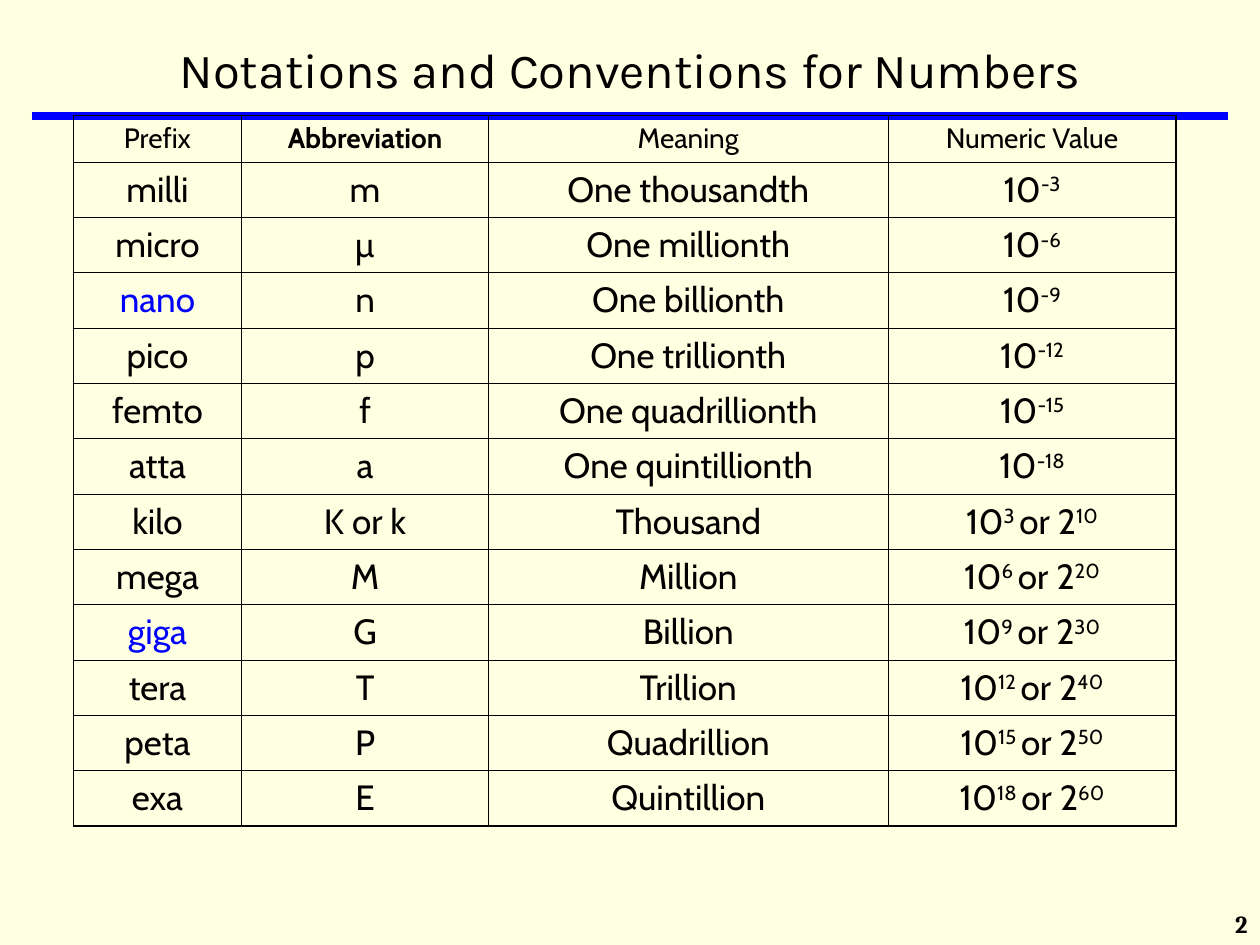
import pptx
import pptx.dml.color
import pptx.enum.shapes
import pptx.enum.text
import pptx.oxml
import pptx.oxml.ns
import pptx.util
from pptx.util import Cm

# Content: "|" separates normal text from superscript, alternately
TITLE = "Notations and Conventions for Numbers"
PAGE_NUMBER = "2"
HEADER = ("Prefix", "Abbreviation", "Meaning", "Numeric Value")
PREFIXES = [
    ("milli", "m", "One thousandth", "10|-3"),
    ("micro", "µ", "One millionth", "10|-6"),
    ("nano", "n", "One billionth", "10|-9"),
    ("pico", "p", "One trillionth", "10|-12"),
    ("femto", "f", "One quadrillionth", "10|-15"),
    ("atta", "a", "One quintillionth", "10|-18"),
    ("kilo", "K or k", "Thousand", "10|3 |or 2|10"),
    ("mega", "M", "Million", "10|6 |or 2|20"),
    ("giga", "G", "Billion", "10|9 |or 2|30"),
    ("tera", "T", "Trillion", "10|12 |or 2|40"),
    ("peta", "P", "Quadrillion", "10|15 |or 2|50"),
    ("exa", "E", "Quintillion", "10|18 |or 2|60"),
]
HIGHLIGHTED = {"nano", "giga"}

# Style
BLACK, BLUE, CREAM = "000000", "0000FF", "FFFFE1"
COLUMN_WIDTHS = (3.39, 4.98, 8.05, 5.81)
HEADER_HEIGHT, ROW_HEIGHT = 0.93, 1.11
INNER_BORDER, OUTER_BORDER = 0.45, 1.08
RULE_TOP = 2.33
ALIGN = pptx.enum.text.PP_ALIGN
MIDDLE = pptx.enum.text.MSO_ANCHOR.MIDDLE


def color(hex_string):
    return pptx.dml.color.RGBColor.from_string(hex_string)


def format_paragraph(paragraph, font_name, size, hex_string=BLACK, bold=False, align=ALIGN.CENTER):
    paragraph.alignment = align
    font = paragraph.font
    font.name, font.size, font.bold = font_name, pptx.util.Pt(size), bold
    font.color.rgb = color(hex_string)


def add_border(cell, side, points):
    line = pptx.oxml.parse_xml(
        f'<a:ln{side} {pptx.oxml.ns.nsdecls("a")} w="{round(points * 12700)}">'
        f'<a:solidFill><a:srgbClr val="{BLACK}"/></a:solidFill></a:ln{side}>')
    cell._tc.get_or_add_tcPr().append(line)


def fill_cell(cell, text, is_header):
    cell.vertical_anchor = MIDDLE
    paragraph = cell.text_frame.paragraphs[0]
    for index, part in enumerate(text.split("|")):
        run = paragraph.add_run()
        run.text = part
        if index % 2:
            run._r.get_or_add_rPr().set("baseline", "30000")
    format_paragraph(paragraph, "Cabin", 16 if is_header else 20,
                     BLUE if text in HIGHLIGHTED else BLACK,
                     bold=text == "Abbreviation")


presentation = pptx.Presentation()
presentation.slide_width, presentation.slide_height = Cm(25.4), Cm(19.05)
slide = presentation.slides.add_slide(presentation.slide_layouts[5])
slide.background.fill.solid()
slide.background.fill.fore_color.rgb = color(CREAM)

# Title
title = slide.shapes.title
title.left, title.top, title.width, title.height = Cm(0.85), Cm(0.64), Cm(23.7), Cm(1.48)
title.text_frame.text = TITLE
title.text_frame.vertical_anchor = MIDDLE
format_paragraph(title.text_frame.paragraphs[0], "Karla", 28)

# Rule under the title
rule = slide.shapes.add_connector(
    pptx.enum.shapes.MSO_CONNECTOR.STRAIGHT, Cm(0.64), Cm(RULE_TOP), Cm(24.76), Cm(RULE_TOP))
rule.line.color.rgb = color(BLUE)
rule.line.width = pptx.util.Pt(4.5)
rule._element.spPr.append(
    pptx.oxml.parse_xml(f'<a:effectLst {pptx.oxml.ns.nsdecls("a")}/>'))

# Table of prefixes
rows = [HEADER] + PREFIXES
last_row, last_column = len(rows) - 1, len(HEADER) - 1
table = slide.shapes.add_table(
    len(rows), len(HEADER), Cm(1.48), Cm(RULE_TOP), Cm(sum(COLUMN_WIDTHS)),
    Cm(HEADER_HEIGHT + ROW_HEIGHT * len(PREFIXES))).table
table.first_row = table.horz_banding = False
for column, width in zip(table.columns, COLUMN_WIDTHS):
    column.width = Cm(width)
for row_index, texts in enumerate(rows):
    table.rows[row_index].height = Cm(ROW_HEIGHT if row_index else HEADER_HEIGHT)
    for column_index, text in enumerate(texts):
        cell = table.cell(row_index, column_index)
        fill_cell(cell, text, row_index == 0)
        outer_sides = {"L": column_index == 0, "R": column_index == last_column,
                       "T": row_index == 0, "B": row_index == last_row}
        for side, is_outer in outer_sides.items():
            add_border(cell, side, OUTER_BORDER if is_outer else INNER_BORDER)
        cell.fill.background()

# Page number
number_box = slide.shapes.add_textbox(Cm(20.12), Cm(18.2), Cm(5.28), Cm(0.43))
number_box.text_frame.word_wrap = True
number_box.text_frame.text = PAGE_NUMBER
format_paragraph(number_box.text_frame.paragraphs[0], "Cambria", 14, bold=True, align=ALIGN.RIGHT)

presentation.save("out.pptx")
